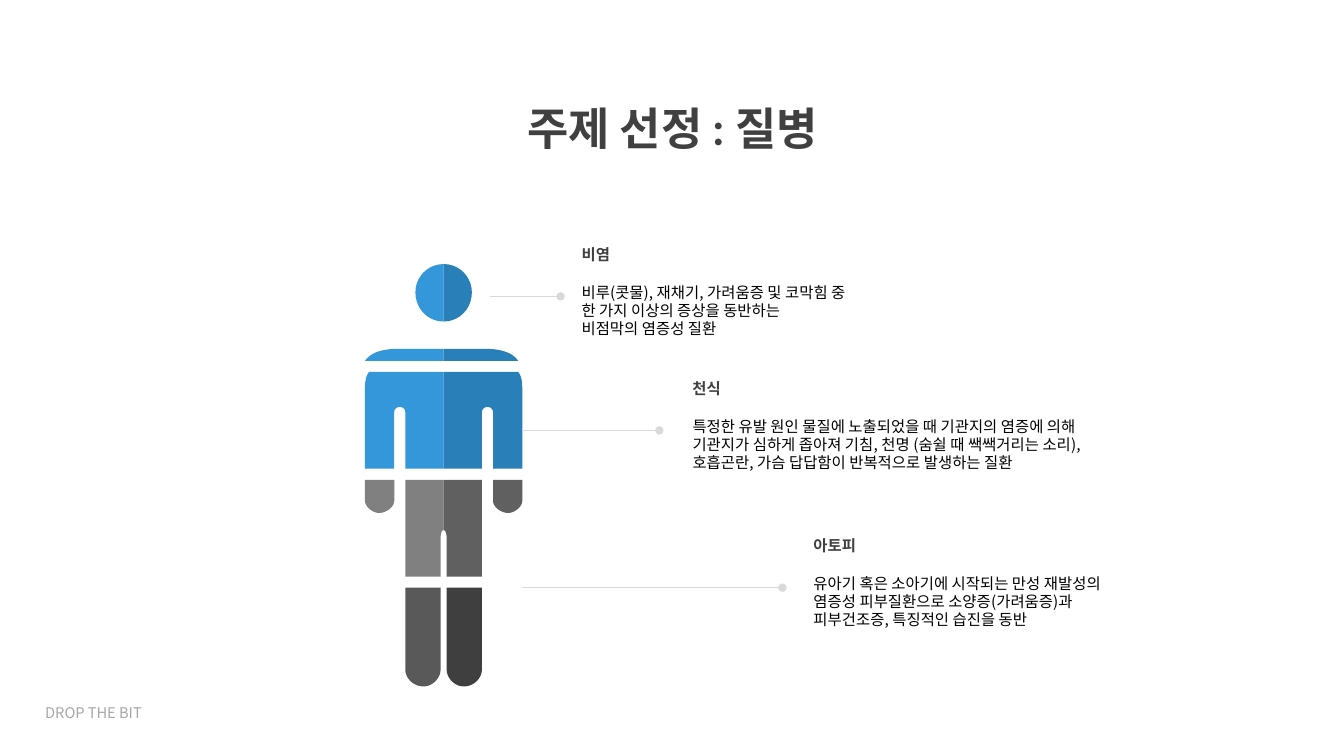
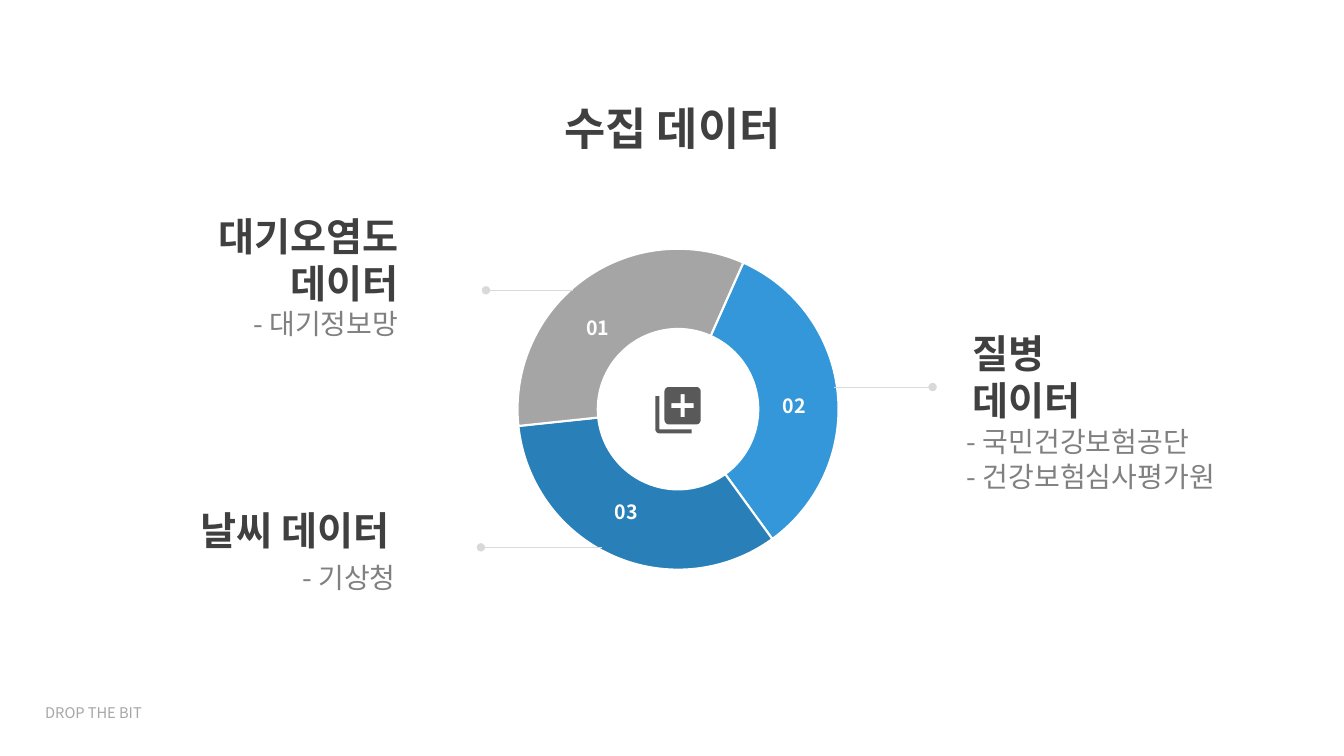
from lxml import etree
from pptx import Presentation
from pptx.chart.data import CategoryChartData
from pptx.dml.color import RGBColor
from pptx.enum.chart import XL_CHART_TYPE
from pptx.enum.shapes import MSO_CONNECTOR
from pptx.enum.text import PP_ALIGN
from pptx.oxml.ns import qn
from pptx.util import Inches, Pt

RING = XL_CHART_TYPE.DOUGHNUT
STRAIGHT = MSO_CONNECTOR.STRAIGHT
LEFT, CENTER, RIGHT = PP_ALIGN.LEFT, PP_ALIGN.CENTER, PP_ALIGN.RIGHT

DARK = RGBColor(0x40, 0x40, 0x40)
BLACK = RGBColor(0, 0, 0)
WHITE = RGBColor(0xFF, 0xFF, 0xFF)
GRAY = RGBColor(0x80, 0x80, 0x80)
SLATE = RGBColor(0x60, 0x60, 0x60)
COAL = RGBColor(0x59, 0x59, 0x59)
INK = RGBColor(0x3F, 0x3F, 0x3F)
SILVER = RGBColor(0xA5, 0xA5, 0xA5)
MIST = RGBColor(0xA6, 0xA6, 0xA6)
RULE = RGBColor(0xD9, 0xD9, 0xD9)
SKY = RGBColor(0x33, 0x97, 0xDA)
BLUE = RGBColor(0x29, 0x7F, 0xB8)

SANS = "Noto Sans CJK KR"
TIGHT = 12.8    # fixed line pitch of body text, points
AXIS = 4.40     # middle of the body figure
STEPS = 10      # segments per curve

# Right half of each body part, measured from the axis:
# a pair is a corner, six numbers are a Bezier curve.
HEAD = [(0, 2.62), (.16, 2.62, .28, 2.75, .28, 2.9),
        (.28, 3.06, .16, 3.19, 0, 3.19)]
NECK_L = [(0, 3.46), (.44, 3.46), (.59, 3.46, .72, 3.49, .78, 3.58), (0, 3.58)]
NECK_R = [(0, 3.46), (.40, 3.46), (.55, 3.46, .68, 3.49, .74, 3.58), (0, 3.58)]
TORSO = [(0, 3.69), (.74, 3.69), (.77, 3.73, .78, 3.78, .78, 3.85),
         (.78, 4.65), (.49, 4.65), (.49, 4.09),
         (.49, 4.02, .38, 4.02, .38, 4.09), (.38, 4.65), (0, 4.65)]
HAND = [(.49, 4.76), (.78, 4.76), (.78, 4.97),
        (.78, 5.03, .7, 5.09, .64, 5.09), (.57, 5.09, .49, 5.03, .49, 4.97)]
THIGH = [(0, 4.76), (.38, 4.76), (.38, 5.72), (.03, 5.72), (.03, 5.35),
         (.03, 5.29, .02, 5.26, 0, 5.26)]
CALF = [(.03, 5.83), (.38, 5.83), (.38, 6.64),
        (.38, 6.73, .3, 6.81, .2, 6.81), (.11, 6.81, .03, 6.73, .03, 6.64)]
PARTS = [(HEAD, HEAD, SKY, BLUE), (NECK_L, NECK_R, SKY, BLUE),
         (TORSO, TORSO, SKY, BLUE), (HAND, HAND, GRAY, SLATE),
         (THIGH, THIGH, GRAY, SLATE), (CALF, CALF, COAL, INK)]

# Icon: plus sign, rounded card, and the edge of the card behind
PLUS = [(6.88, 4.05), (6.88, 4), (6.79, 4), (6.79, 3.91), (6.75, 3.91),
        (6.75, 4), (6.66, 4), (6.66, 4.05), (6.75, 4.05), (6.75, 4.14),
        (6.79, 4.14), (6.79, 4.05)]
CARD = [(6.91, 3.84), (6.93, 3.84, 6.95, 3.86, 6.95, 3.89), (6.95, 4.16),
        (6.95, 4.19, 6.93, 4.21, 6.91, 4.21), (6.63, 4.21),
        (6.61, 4.21, 6.59, 4.19, 6.59, 4.16), (6.59, 3.89),
        (6.59, 3.86, 6.61, 3.84, 6.63, 3.84)]
EDGE = [(6.54, 3.93), (6.54, 4.26), (6.86, 4.26), (6.86, 4.3), (6.54, 4.3),
        (6.52, 4.3, 6.5, 4.28, 6.5, 4.26), (6.5, 3.93)]

TOPICS = [
    (5.67, 2.37, 4.24, ["비루(콧물),\u00a0재채기, 가려움증 및 코막힘 중",
                        "한 가지 이상의 증상을 동반하는",
                        "비점막의 염증성 질환"], "비염"),
    (6.77, 3.7, 4.58, ["특정한 유발 원인 물질에 노출되었을 때 기관지의 염증에 의해 "
                       "기관지가 심하게 좁아져 기침, 천명 (숨쉴 때 쌕쌕거리는 소리), "
                       "호흡곤란, 가슴 답답함이 반복적으로 발생하는 질환"], "천식"),
    (7.97, 5.26, 3.34, ["유아기 혹은 소아기에 시작되는 만성 재발성의 염증성 "
                        "피부질환으로 소양증(가려움증)과 피부건조증, "
                        "특징적인 습진을 동반"], "아토피"),
]


def add_text(slide, box, lines, size, color, bold=False, align=LEFT,
             pitch=None, gap=0, wrap=True, font=SANS):
    frame = slide.shapes.add_textbox(*map(Inches, box)).text_frame
    frame.word_wrap = wrap
    # Offset the first line to allow for the fixed line pitch
    frame.margin_top = Inches(.05) + Pt(.08 * size)
    frame.text = "\n".join(lines)
    for i, para in enumerate(frame.paragraphs):
        para.alignment = align
        para.line_spacing = Pt(pitch or 1.2 * size)
        if i and gap:
            para.space_before = Pt(gap)
        for run in para.runs:
            run.font.size = Pt(size)
            run.font.bold = bold
            run.font.name = font
            run.font.color.rgb = color
            east = etree.SubElement(run.font._element, qn("a:ea"))
            east.set("typeface", SANS)


def add_line(slide, x1, x2, y):
    ends = map(Inches, (x1, y, x2, y))
    line = slide.shapes.add_connector(STRAIGHT, *ends)
    line.line.color.rgb = RULE
    line.line.width = Pt(.5)
    tail = etree.SubElement(line.line._get_or_add_ln(), qn("a:tailEnd"))
    tail.set("type", "oval")
    etree.SubElement(line._element.spPr, qn("a:effectLst"))


def flatten(path):
    """Turn corners and curves into plain points."""
    points = []
    for step in path:
        if len(step) == 2:
            points.append(step)
            continue
        knots = [points[-1], step[:2], step[2:4], step[4:]]
        for i in range(1, STEPS + 1):
            t = i / STEPS
            s = 1 - t
            mix = (s ** 3, 3 * s * s * t, 3 * s * t * t, t ** 3)
            points.append(tuple(sum(m * k[axis] for m, k in zip(mix, knots))
                                for axis in (0, 1)))
    return points


def add_shape(slide, paths, color, origin=0, side=1):
    pen = None
    for path in paths:
        points = [(Inches(origin + side * x), Inches(y))
                  for x, y in flatten(path)]
        if pen is None:
            pen = slide.shapes.build_freeform(*points[0])
        else:
            pen.move_to(*points[0])
        pen.add_line_segments(points[1:], close=True)
    shape = pen.convert_to_shape()
    shape.shadow.inherit = False
    shape.fill.solid()
    shape.fill.fore_color.rgb = color
    shape.line.fill.background()


def add_ring(slide):
    data = CategoryChartData()
    data.categories = ["1", "2", "3"]
    data.add_series("Series 1", (33, 33, 33))
    box = map(Inches, (4.13, 2.33, 5.19, 3.46))
    chart = slide.shapes.add_chart(RING, *box, data).chart
    chart.has_legend = False
    chart.has_title = False
    chart.font.name = "Calibri"
    chart.font.size = Pt(10)
    chart.font.color.rgb = BLACK
    plot = chart.plots[0]
    plot.vary_by_categories = True
    for i, color in enumerate((SKY, BLUE, SILVER)):
        part = plot.series[0].points[i].format
        part.fill.solid()
        part.fill.fore_color.rgb = color
        part.line.color.rgb = WHITE
        part.line.width = Pt(1.5)
    for tag, value in (("firstSliceAng", "24"), ("holeSize", "50")):
        chart._chartSpace.xpath(f".//c:{tag}")[0].set("val", value)


def new_slide(deck, title, font=SANS):
    slide = deck.slides.add_slide(deck.slide_layouts[6])
    add_text(slide, (4.71, .91, 3.92, .64), [title], 32, DARK,
             bold=True, align=CENTER, font=font)
    add_text(slide, (.35, 6.92, 1.59, .28), ["DROP THE BIT"], 10.5, MIST)
    return slide


def add_topics(deck):
    slide = new_slide(deck, "주제 선정 : 질병", "Lato")
    # Body figure
    for left, right, light, dark in PARTS:
        add_shape(slide, [left], light, AXIS, -1)
        add_shape(slide, [right], dark, AXIS)
    # Diseases
    for x, y, width, lines, name in TOPICS:
        add_text(slide, (x, y, 1.97, .29), [name], 11, DARK, bold=True)
        add_text(slide, (x, y + .38, width, .65), lines, 11, BLACK,
                 pitch=TIGHT)
    for line in ((4.86, 5.56, 2.94), (5.18, 6.54, 4.27), (5.18, 7.76, 5.83)):
        add_line(slide, *line)


def add_sources(deck):
    slide = new_slide(deck, "수집 데이터")
    # Ring with numbers and icon
    add_ring(slide)
    for label, x, y in (("01", 5.71, 3.07), ("02", 7.66, 3.84),
                        ("03", 5.99, 4.89)):
        add_text(slide, (x, y, .44, .34), [label], 14, WHITE, bold=True,
                 align=CENTER, wrap=False)
    add_shape(slide, [PLUS, CARD, EDGE], COAL)
    # Leader lines
    for line in ((8.27, 9.25, 3.84), (5.97, 4.77, 5.43), (5.68, 4.82, 2.88)):
        add_line(slide, *line)
    # Data sets and where they come from
    for box, name, align in (((9.55, 3.19, 1.97, 1.04), "질병 데이터", LEFT),
                             ((1.89, 4.94, 2.78, .57), "날씨 데이터", LEFT),
                             ((1.89, 2.03, 2.16, 1.04), "대기오염도 데이터", RIGHT)):
        add_text(slide, box, [name], 28, DARK, bold=True, align=align)
    for box, lines, align in (
            ((9.49, 4.29, 3.06, .67),
             ["- 국민건강보험공단", "- 건강보험심사평가원"], LEFT),
            ((2.9, 5.64, 2.28, .31), ["- 기상청"], LEFT),
            ((1.77, 3.12, 2.28, .31), ["- 대기정보망"], RIGHT)):
        add_text(slide, box, lines, 20, GRAY, align=align,
                 pitch=TIGHT, gap=TIGHT)


def main():
    deck = Presentation()
    deck.slide_width = Inches(13.33)
    deck.slide_height = Inches(7.5)
    add_topics(deck)
    add_sources(deck)
    deck.save("out.pptx")


if __name__ == "__main__":
    main()
